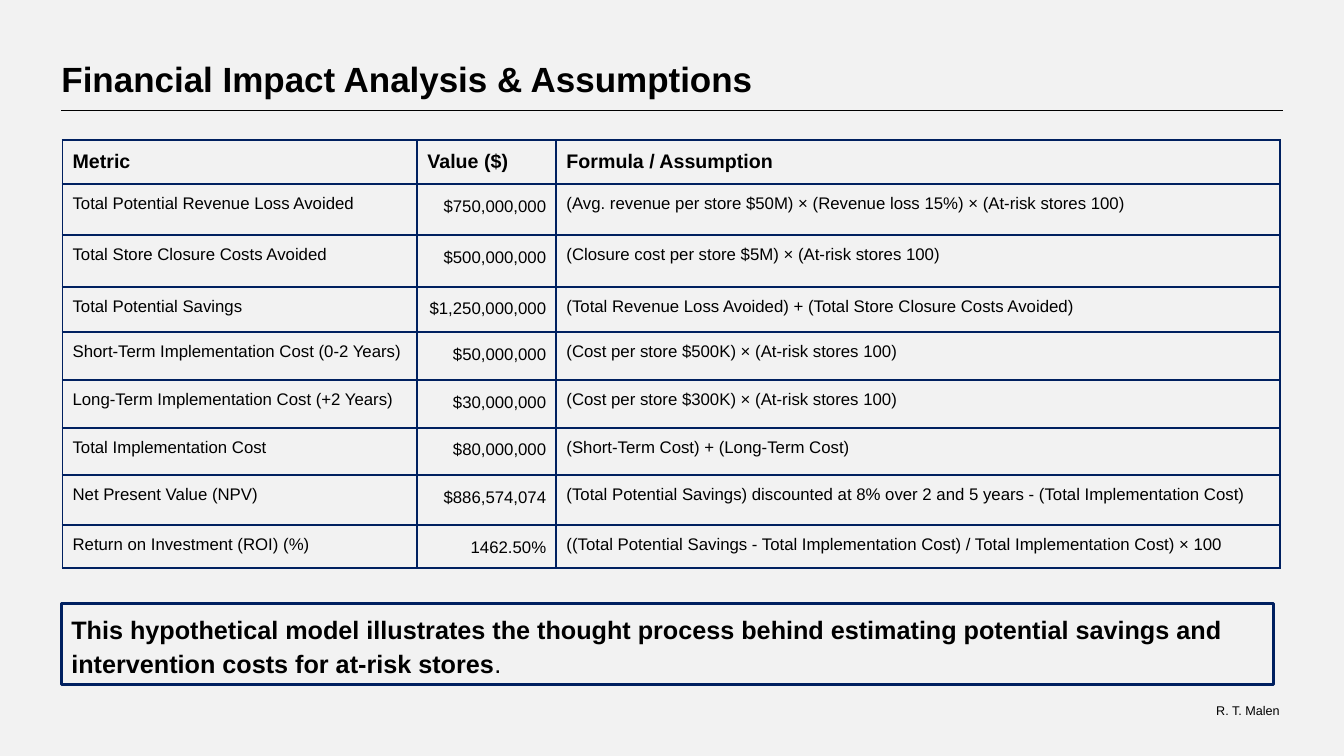
"""Build the financial impact slide with its assumptions table."""
from dataclasses import dataclass

import lxml.etree
import pptx
import pptx.dml.color
import pptx.enum.shapes
import pptx.enum.text
import pptx.oxml.ns
import pptx.util

ALIGN = pptx.enum.text.PP_ALIGN
ANCHOR = pptx.enum.text.MSO_ANCHOR


@dataclass(frozen=True)
class Theme:
    """Colours, type sizes and line widths of the slide."""
    font: str = "Arial"
    ink: str = "000000"
    navy: str = "002060"
    background: str = "F2F2F2"
    title_size: int = 25
    callout_size: int = 18
    header_size: int = 14
    body_size: int = 12
    footer_size: int = 9
    rule_width: float = 0.75
    border_width: float = 1.5
    callout_width: float = 2.25
    number_spacing: float = 1.15


@dataclass(frozen=True)
class Box:
    """A region measured in grid columns and rows."""
    left: float
    top: float
    width: float
    height: float

    def place(self):
        """Return left, top, width and height as slide lengths."""
        return [grid(value) for value in (self.left, self.top, self.width, self.height)]


THEME = Theme()
GRID_STEP = 0.1
PADDING = 1
COLUMN_WIDTHS = (35.2, 13.8, 71.8)
ROW_HEIGHTS = (4.25, 5.1, 5.1, 4.5, 4.8, 4.7, 4.7, 4.95, 4.2)
METRICS = (
    ("Metric", "Value ($)", "Formula / Assumption"),
    ("Total Potential Revenue Loss Avoided", "$750,000,000",
     "(Avg. revenue per store $50M) × (Revenue loss 15%) × (At-risk stores 100)"),
    ("Total Store Closure Costs Avoided", "$500,000,000",
     "(Closure cost per store $5M) × (At-risk stores 100)"),
    ("Total Potential Savings", "$1,250,000,000",
     "(Total Revenue Loss Avoided) + (Total Store Closure Costs Avoided)"),
    ("Short-Term Implementation Cost (0-2 Years)", "$50,000,000",
     "(Cost per store $500K) × (At-risk stores 100)"),
    ("Long-Term Implementation Cost (+2 Years)", "$30,000,000",
     "(Cost per store $300K) × (At-risk stores 100)"),
    ("Total Implementation Cost", "$80,000,000",
     "(Short-Term Cost) + (Long-Term Cost)"),
    ("Net Present Value (NPV)", "$886,574,074",
     "(Total Potential Savings) discounted at 8% over 2 and 5 years - (Total Implementation Cost)"),
    ("Return on Investment (ROI) (%)", "1462.50%",
     "((Total Potential Savings - Total Implementation Cost) / Total Implementation Cost) × 100"),
)


def grid(steps):
    """Turn grid steps into a slide length."""
    return pptx.util.Inches(steps * GRID_STEP)


def colour(value):
    """Turn a hexadecimal value into a colour."""
    return pptx.dml.color.RGBColor.from_string(value)


def style_run(run, size, bold=False):
    """Give a run the theme font."""
    run.font.name = THEME.font
    run.font.size = pptx.util.Pt(size)
    run.font.bold = bold
    run.font.color.rgb = colour(THEME.ink)


def set_frame(text_frame, anchor, padding=0, wrap=True):
    """Set anchor, wrapping and equal insets of a text frame."""
    text_frame.word_wrap = wrap
    text_frame.vertical_anchor = anchor
    text_frame.margin_left = text_frame.margin_right = grid(padding)
    text_frame.margin_top = text_frame.margin_bottom = grid(padding)


def add_label(slide, box, text, size, anchor, bold=False, align=ALIGN.LEFT, wrap=True):
    """Add one line of text without insets."""
    text_frame = slide.shapes.add_textbox(*box.place()).text_frame
    set_frame(text_frame, anchor, wrap=wrap)
    text_frame.text = text
    paragraph = text_frame.paragraphs[0]
    paragraph.alignment = align
    style_run(paragraph.runs[0], size, bold)


def add_heading(slide, box):
    """Add the title and the rule at the bottom of its box."""
    title_box = Box(box.left, box.top, box.width, box.height - 1.1)
    add_label(slide, title_box, "Financial Impact Analysis & Assumptions",
              THEME.title_size, ANCHOR.BOTTOM, bold=True)
    left, top, width, height = box.place()
    rule = slide.shapes.add_connector(pptx.enum.shapes.MSO_CONNECTOR.STRAIGHT,
                                      left, top + height, left + width, top + height)
    rule.line.color.rgb = colour(THEME.ink)
    rule.line.width = pptx.util.Pt(THEME.rule_width)
    lxml.etree.SubElement(rule.element.spPr, pptx.oxml.ns.qn("a:effectLst"))


def set_borders(cell):
    """Draw the four borders of a cell."""
    qn = pptx.oxml.ns.qn
    properties = cell._tc.get_or_add_tcPr()
    for position, side in enumerate(("lnL", "lnR", "lnT", "lnB")):
        border = lxml.etree.Element(qn(f"a:{side}"), w=str(pptx.util.Pt(THEME.border_width)))
        fill = lxml.etree.SubElement(border, qn("a:solidFill"))
        lxml.etree.SubElement(fill, qn("a:srgbClr"), val=THEME.navy)
        properties.insert(position, border)


def fill_cell(cell, text, header, number):
    """Write and format one table cell."""
    cell.fill.background()
    cell.margin_left = cell.margin_right = grid(PADDING)
    cell.margin_top = cell.margin_bottom = grid(PADDING)
    cell.text_frame.text = text
    paragraph = cell.text_frame.paragraphs[0]
    if number:
        paragraph.alignment = ALIGN.RIGHT
        paragraph.line_spacing = THEME.number_spacing
    style_run(paragraph.runs[0], THEME.header_size if header else THEME.body_size, header)
    set_borders(cell)


def add_metrics_table(slide, box):
    """Add the table of metrics, values and formulas."""
    table = slide.shapes.add_table(len(METRICS), len(COLUMN_WIDTHS), *box.place()).table
    table.first_row = table.horz_banding = False
    for column, width in zip(table.columns, COLUMN_WIDTHS):
        column.width = grid(width)
    for row_index, (row, height, texts) in enumerate(zip(table.rows, ROW_HEIGHTS, METRICS)):
        row.height = grid(height)
        header = row_index == 0
        for column_index, (cell, text) in enumerate(zip(row.cells, texts)):
            fill_cell(cell, text, header, column_index == 1 and not header)


def add_callout(slide, box):
    """Add the outlined remark below the table."""
    callout = slide.shapes.add_shape(pptx.enum.shapes.MSO_SHAPE.RECTANGLE, *box.place())
    callout.shadow.inherit = False
    callout.fill.background()
    callout.line.color.rgb = colour(THEME.navy)
    callout.line.width = pptx.util.Pt(THEME.callout_width)
    set_frame(callout.text_frame, ANCHOR.MIDDLE, PADDING)
    paragraph = callout.text_frame.paragraphs[0]
    paragraph.alignment = ALIGN.LEFT
    paragraph.line_spacing = THEME.number_spacing
    remark = ("This hypothetical model illustrates the thought process behind estimating "
              "potential savings and intervention costs for at-risk stores")
    for text, bold in ((remark, True), (".", False)):
        run = paragraph.add_run()
        run.text = text
        style_run(run, THEME.callout_size, bold)


def add_footer(slide, box):
    """Add the footer text at the lower right."""
    add_label(slide, box, "R. T. Malen", THEME.footer_size, ANCHOR.MIDDLE,
              align=ALIGN.CENTER, wrap=False)


def main():
    """Build the slide and save it."""
    presentation = pptx.Presentation()
    presentation.slide_width = grid(133.33)
    presentation.slide_height = grid(75)
    slide = presentation.slides.add_slide(presentation.slide_layouts[6])
    slide.background.fill.solid()
    slide.background.fill.fore_color.rgb = colour(THEME.background)
    add_heading(slide, Box(6.1, 1.9, 121.2, 9.1))
    add_metrics_table(slide, Box(6.2, 13.9, sum(COLUMN_WIDTHS), sum(ROW_HEIGHTS)))
    add_callout(slide, Box(6.1, 59.9, 120.2, 8))
    add_footer(slide, Box(120.4, 69.7, 6.8, 1.5))
    presentation.save("out.pptx")


if __name__ == "__main__":
    main()
